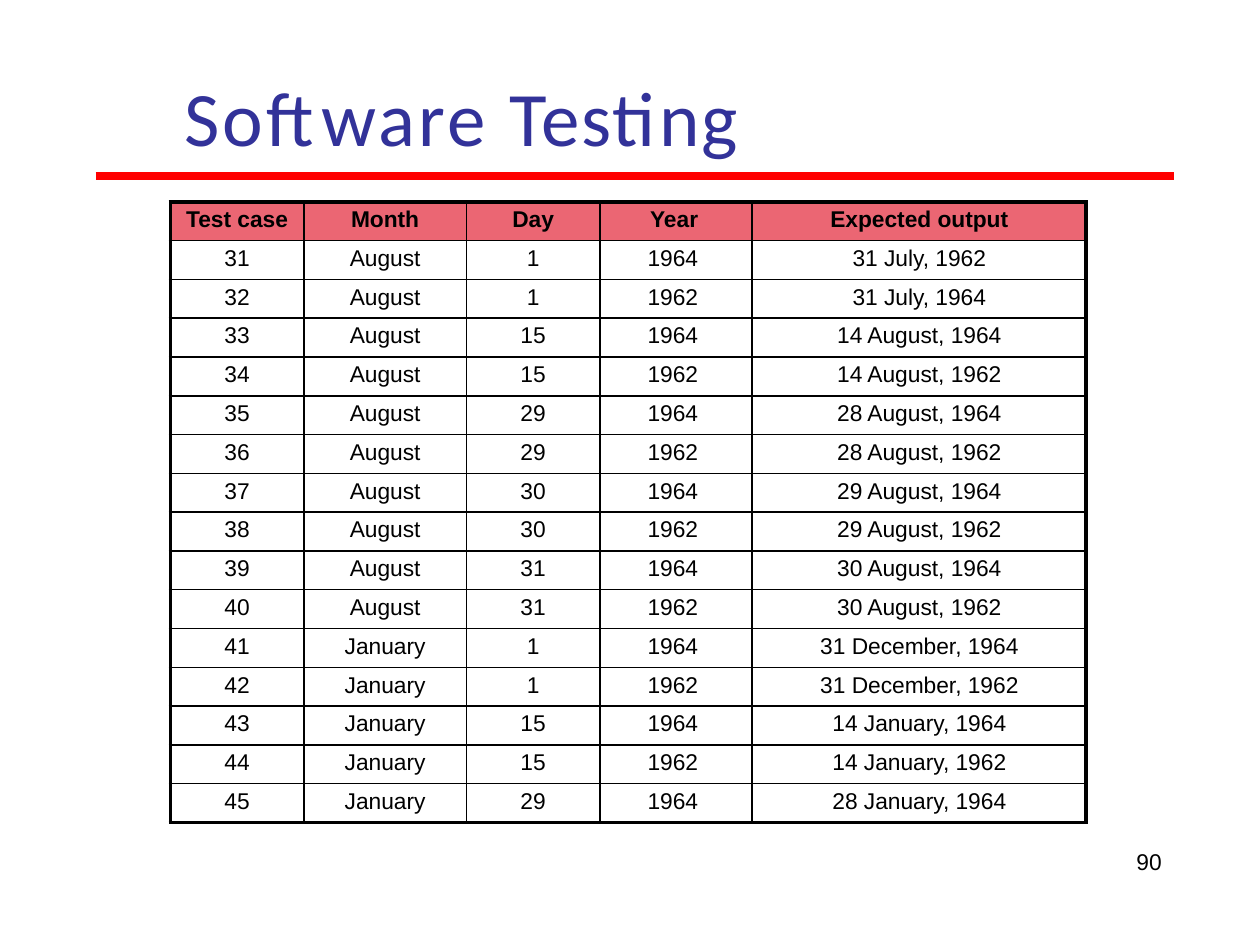
from pptx import Presentation
from pptx import util as u
from pptx.dml.color import RGBColor
from pptx.enum import shapes, text
from pptx.oxml.ns import qn
from lxml import etree

COLORS = {"title": "323299", "rule": "FF0000", "header": "EB6673", "ink": "000000"}

TITLE = [("Software ", 170), ("Testing", 90)]  # text, letter spacing in 1/100 pt
PAGE_NUMBER = "90"
HEADER = ("Test case", "Month", "Day", "Year", "Expected output")
TEST_CASES = [
    ("31", "August", "1", "1964", "31 July, 1962"),
    ("32", "August", "1", "1962", "31 July, 1964"),
    ("33", "August", "15", "1964", "14 August, 1964"),
    ("34", "August", "15", "1962", "14 August, 1962"),
    ("35", "August", "29", "1964", "28 August, 1964"),
    ("36", "August", "29", "1962", "28 August, 1962"),
    ("37", "August", "30", "1964", "29 August, 1964"),
    ("38", "August", "30", "1962", "29 August, 1962"),
    ("39", "August", "31", "1964", "30 August, 1964"),
    ("40", "August", "31", "1962", "30 August, 1962"),
    ("41", "January", "1", "1964", "31 December, 1964"),
    ("42", "January", "1", "1962", "31 December, 1962"),
    ("43", "January", "15", "1964", "14 January, 1964"),
    ("44", "January", "15", "1962", "14 January, 1962"),
    ("45", "January", "29", "1964", "28 January, 1964"),
]
COLUMN_WIDTHS = (76.3, 92.9, 76.3, 87.1, 190.8)
ROW_HEIGHT = 22.18
YEAR_COLUMN, YEAR_MARGIN = 3, 31
OUTER_BORDER, INNER_BORDER = 2.25, 1


def rgb(name):
    return RGBColor.from_string(COLORS[name])


def format_font(font, family, size, color, bold=False):
    font.name, font.size, font.bold = family, u.Pt(size), bold
    font.color.rgb = rgb(color)


def set_margins(target, left=0, top=0, right=0, bottom=0):
    target.margin_left, target.margin_top = u.Pt(left), u.Pt(top)
    target.margin_right, target.margin_bottom = u.Pt(right), u.Pt(bottom)


def set_borders(cell, widths):
    """Draw the left, right, top and bottom borders, in that order."""
    properties = cell._tc.get_or_add_tcPr()
    for tag, width in zip(("a:lnL", "a:lnR", "a:lnT", "a:lnB"), widths):
        line = etree.SubElement(properties, qn(tag), w=str(u.Pt(width)))
        fill = etree.SubElement(line, qn("a:solidFill"))
        etree.SubElement(fill, qn("a:srgbClr"), val=COLORS["ink"])


def add_title(slide):
    title = slide.shapes.title
    title.left, title.top = u.Pt(56.2), u.Pt(38.9)
    title.width, title.height = u.Pt(414.7), u.Pt(54)
    frame = title.text_frame
    set_margins(frame)
    frame.auto_size = text.MSO_AUTO_SIZE.NONE
    frame.vertical_anchor = text.MSO_ANCHOR.MIDDLE
    paragraph = frame.paragraphs[0]
    paragraph.alignment = text.PP_ALIGN.CENTER
    for words, spacing in TITLE:
        run = paragraph.add_run()
        run.text = words
        format_font(run.font, "Calibri", 44, "title")
        run.font._element.set("spc", str(spacing))


def add_rule(slide):
    rule = slide.shapes.add_connector(
        shapes.MSO_CONNECTOR.STRAIGHT, u.Pt(54.7), u.Pt(100.8), u.Pt(671), u.Pt(100.8))
    rule.line.color.rgb = rgb("rule")
    rule.line.width = u.Pt(4.5)
    etree.SubElement(rule._element.spPr, qn("a:effectLst"))


def add_test_table(slide):
    rows = [HEADER] + TEST_CASES
    last_row, last_column = len(rows) - 1, len(HEADER) - 1
    table = slide.shapes.add_table(
        len(rows), len(HEADER), u.Pt(97.3), u.Pt(115.3),
        u.Pt(sum(COLUMN_WIDTHS)), u.Pt(ROW_HEIGHT * len(rows))).table
    table.horz_banding = False
    for column, width in zip(table.columns, COLUMN_WIDTHS):
        column.width = u.Pt(width)
    for r, values in enumerate(rows):
        table.rows[r].height = u.Pt(ROW_HEIGHT)
        for c, value in enumerate(values):
            cell = table.cell(r, c)
            is_year = c == YEAR_COLUMN
            at_edge = (c == 0, c == last_column, r == 0, r == last_row)
            set_borders(cell, [OUTER_BORDER if edge else INNER_BORDER for edge in at_edge])
            set_margins(cell, top=3, right=YEAR_MARGIN if is_year else 0)
            if r == 0:
                cell.fill.solid()
                cell.fill.fore_color.rgb = rgb("header")
            else:
                cell.fill.background()
            paragraph = cell.text_frame.paragraphs[0]
            paragraph.text = value
            paragraph.alignment = text.PP_ALIGN.RIGHT if is_year else text.PP_ALIGN.CENTER
            format_font(paragraph.runs[0].font, "Arial", 13, "ink", bold=r == 0)


def add_page_number(slide):
    box = slide.shapes.add_textbox(u.Pt(648), u.Pt(486.7), u.Pt(18), u.Pt(13.2))
    frame = box.text_frame
    set_margins(frame, left=1.4)
    frame.text = PAGE_NUMBER
    frame.paragraphs[0].line_spacing = u.Pt(13.2)
    format_font(frame.paragraphs[0].runs[0].font, "Arial", 13, "ink")


def main():
    presentation = Presentation()
    presentation.slide_width, presentation.slide_height = u.Pt(720), u.Pt(540)
    slide = presentation.slides.add_slide(presentation.slide_layouts[5])
    add_title(slide)
    add_rule(slide)
    add_test_table(slide)
    add_page_number(slide)
    presentation.save("out.pptx")


if __name__ == "__main__":
    main()
